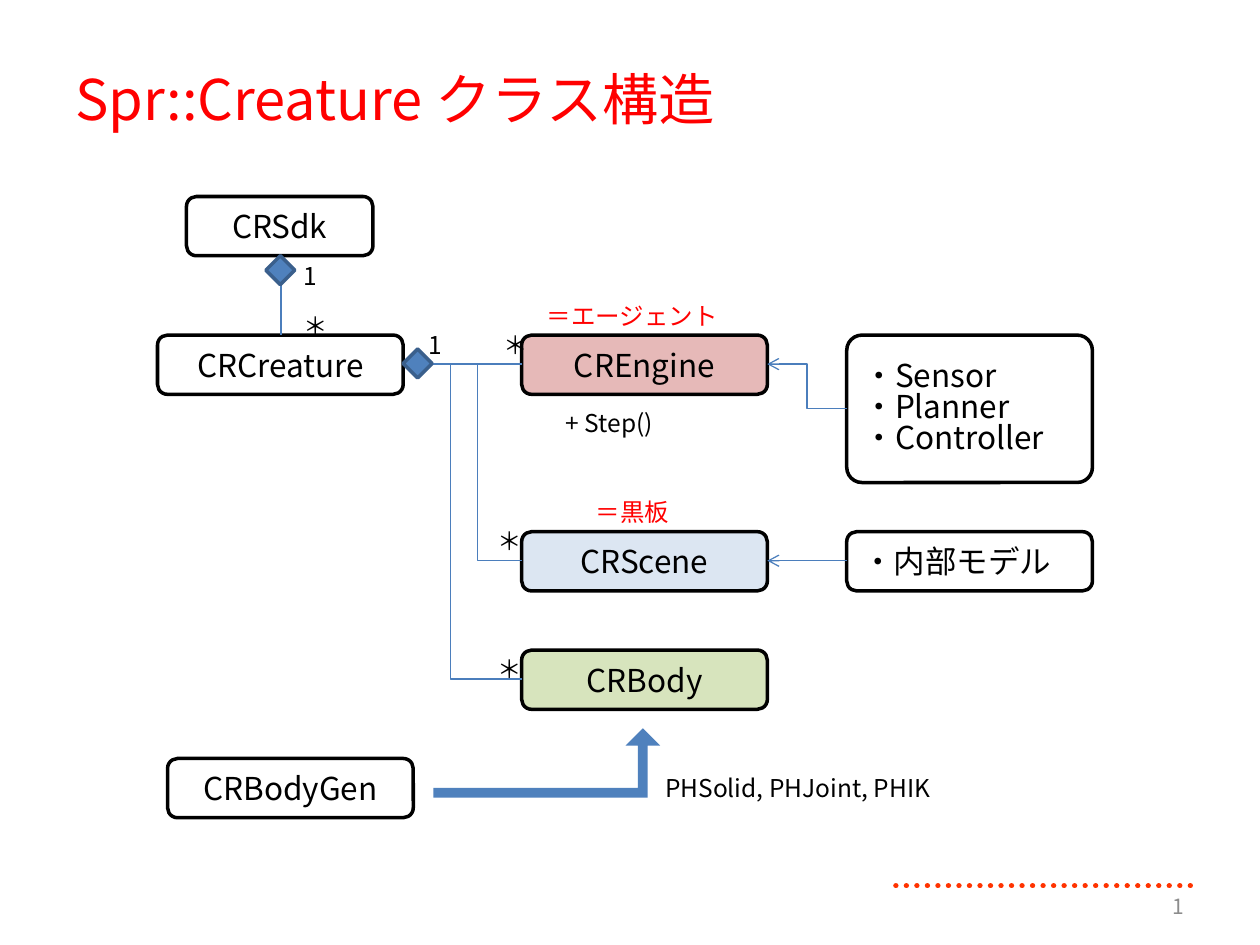
from lxml import etree
from pptx import Presentation
from pptx import util as u
from pptx.dml.color import RGBColor
from pptx.enum import dml, shapes, text
from pptx.oxml.ns import qn

FONT = "Noto Sans CJK JP"
BLACK, RED, BLUE, LINE = "000000", "FF0000", "4F81BD", "4B7EBC"
BOX_W, BOX_H = 1.95, 0.47
LEFT, CENTER, RIGHT = text.PP_ALIGN.LEFT, text.PP_ALIGN.CENTER, text.PP_ALIGN.RIGHT


def inches(*values):
    return [u.Inches(v) for v in values]


def rgb(color):
    return RGBColor.from_string(color)


def write(sp, lines, size, color=BLACK, align=LEFT, spacing=None):
    tf = sp.text_frame
    tf.word_wrap = True
    tf.vertical_anchor = text.MSO_ANCHOR.MIDDLE
    for i, line in enumerate(lines):
        p = tf.paragraphs[0] if i == 0 else tf.add_paragraph()
        p.alignment = align
        if spacing:
            p.line_spacing = spacing
        r = p.add_run()
        r.text = line
        r.font.size = u.Pt(size)
        r.font.name = FONT
        r.font.color.rgb = rgb(color)
        ea = etree.SubElement(r.font._element, qn("a:ea"))
        ea.set("typeface", FONT)


def add_label(s, words, x, y, w, h=BOX_H, size=14, color=BLACK, align=LEFT):
    write(s.shapes.add_textbox(*inches(x, y, w, h)), [words], size, color, align)


def add_figure(s, kind, x, y, w, h, fill=None, line=None):
    sp = s.shapes.add_shape(kind, *inches(x, y, w, h))
    sp.shadow.inherit = False
    if fill:
        sp.fill.solid()
        sp.fill.fore_color.rgb = rgb(fill)
    else:
        sp.fill.background()
    if line:
        sp.line.color.rgb = rgb(line)
        sp.line.width = u.Pt(2)
    else:
        sp.line.fill.background()
    return sp


def add_box(s, lines, x, y, w=BOX_W, h=BOX_H, fill=None, align=CENTER, adj=None, spacing=None):
    sp = add_figure(s, shapes.MSO_SHAPE.ROUNDED_RECTANGLE, x, y, w, h, fill, BLACK)
    if adj:
        sp.adjustments[0] = adj
    write(sp, lines, 18, align=align, spacing=spacing)


def add_line(s, x1, y1, x2, y2, color=LINE, width=0.75, bend=0.5, arrow=False):
    straight = x1 == x2 or y1 == y2
    kind = shapes.MSO_CONNECTOR.STRAIGHT if straight else shapes.MSO_CONNECTOR.ELBOW
    c = s.shapes.add_connector(kind, *inches(x1, y1, x2, y2))
    c.line.color.rgb = rgb(color)
    c.line.width = u.Pt(width)
    props = c._element.spPr
    etree.SubElement(props, qn("a:effectLst"))
    if not straight:
        guide = etree.SubElement(props.find(qn("a:prstGeom")).find(qn("a:avLst")), qn("a:gd"))
        guide.set("name", "adj1")
        guide.set("fmla", f"val {round(bend * 100000)}")
    if arrow:
        etree.SubElement(props.find(qn("a:ln")), qn("a:tailEnd")).set("type", "arrow")
    return c


def main():
    prs = Presentation()
    prs.slide_width, prs.slide_height = inches(10, 7.5)
    s = prs.slides.add_slide(prs.slide_layouts[6])

    # Title and footer
    add_label(s, "Spr::Creature クラス構造", 0.5, 0.38, 9, 0.79, 32, RED)
    rule = add_line(s, 7.11, 7.03, 9.53, 7.03, "FF3300", 3)
    rule.line.dash_style = dml.MSO_LINE.ROUND_DOT
    rule._element.spPr.find(qn("a:ln")).set("cap", "rnd")
    add_label(s, "1", 7.17, 7.03, 2.33, 0.32, 12, "8C8C8C", RIGHT)

    # Class boxes
    add_box(s, ["CRSdk"], 1.48, 1.56, 1.48)
    for name, x, y, fill in [
        ("CRCreature", 1.25, 2.66, None),
        ("CREngine", 4.14, 2.66, "E6B9B8"),
        ("CRScene", 4.14, 4.22, "DCE6F2"),
        ("CRBody", 4.14, 5.16, "D7E4BD"),
        ("CRBodyGen", 1.33, 6.02, None),
    ]:
        add_box(s, [name], x, y, fill=fill)
    add_box(s, ["・Sensor", "・Planner", "・Controller"], 6.72, 2.66, h=1.17,
            align=LEFT, adj=0.103, spacing=0.82)
    add_box(s, ["・内部モデル"], 6.72, 4.22, align=LEFT)

    # Ownership lines, with a diamond at the owner
    add_line(s, 2.23, 2.03, 2.23, 2.66)
    for y, bend in [(2.89, 0.5), (4.45, 0.63), (5.39, 0.4)]:
        add_line(s, 3.2, 2.89, 4.14, y, bend=bend)
    for x, y in [(2.11, 2.03), (3.2, 2.77)]:
        add_figure(s, shapes.MSO_SHAPE.DIAMOND, x, y, 0.23, 0.23, BLUE, "3A5F8C")

    # Arrows from the parts on the right
    for y1, y2 in [(3.24, 2.89), (4.45, 4.45)]:
        add_line(s, 6.72, y1, 6.09, y2, arrow=True)

    # Block arrow from the generator to the body
    sp = add_figure(s, shapes.MSO_SHAPE.BENT_UP_ARROW, 3.44, 5.78, 1.8, 0.55, BLUE)
    for i, value in enumerate([0.14, 0.25, 0.25]):
        sp.adjustments[i] = value

    # Notes beside the boxes
    for words, x, y, w, color in [
        ("PHSolid, PHJoint, PHIK", 5.18, 6.02, 3, BLACK),
        ("+ Step()", 4.39, 3.12, 1.4, BLACK),
        ("＝エージェント", 4.24, 2.27, 1.8, RED),
        ("＝黒板", 4.63, 3.83, 1.02, RED),
    ]:
        add_label(s, words, x, y, w, color=color)

    # Multiplicities
    for mark, x, y in [
        ("1", 2.31, 1.95), ("＊", 2.31, 2.35), ("1", 3.3, 2.5), ("＊", 3.9, 2.5),
        ("＊", 3.85, 4.06), ("＊", 3.85, 5.07),
    ]:
        add_label(s, mark, x, y, 0.55)

    prs.save("out.pptx")


main()
